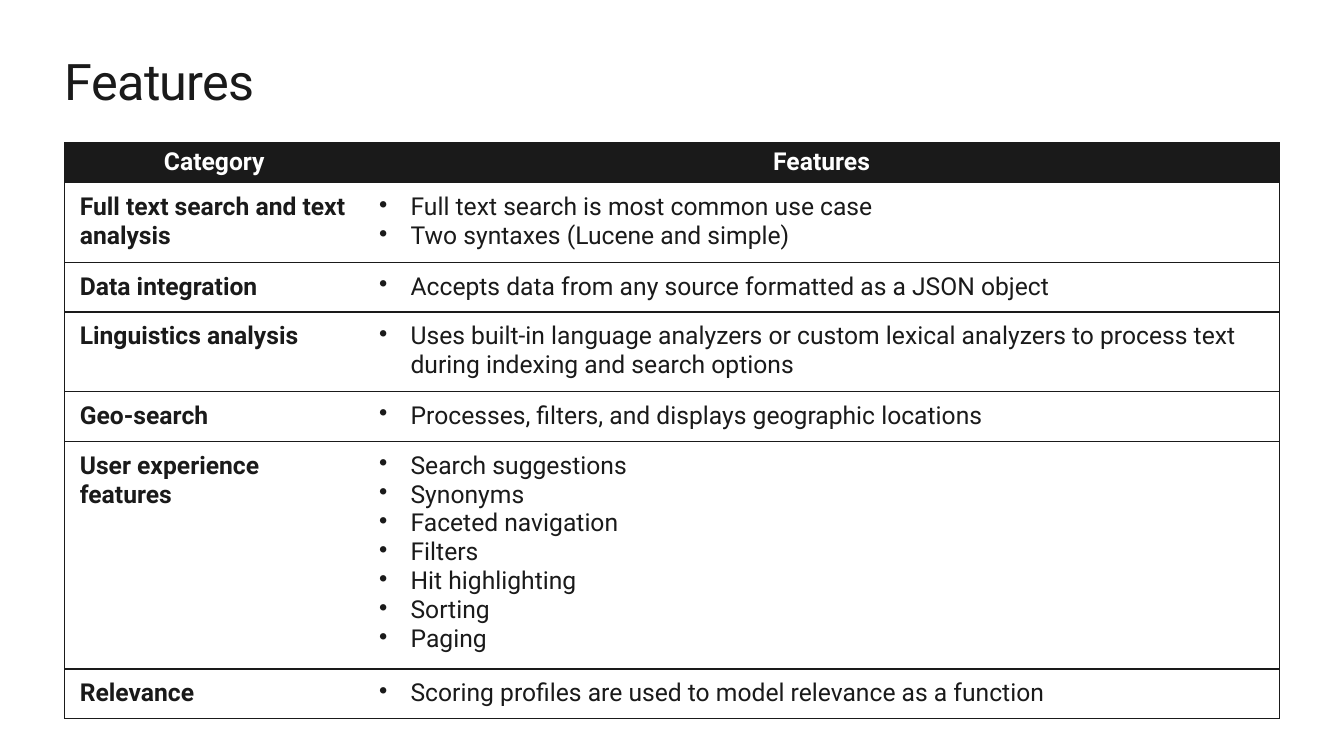
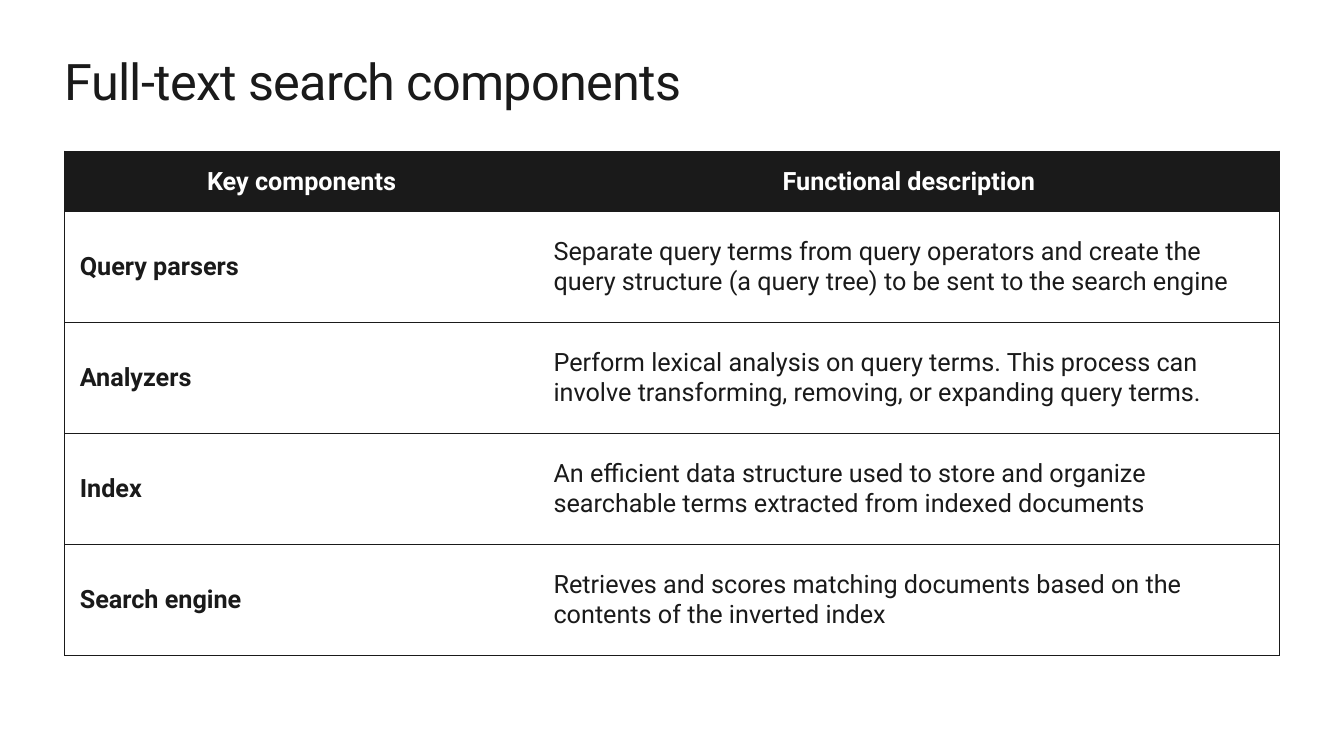
"""Two slides, each with a title and a table of search features."""
from lxml import etree
from pptx import Presentation
from pptx import util as u
from pptx.dml import color
from pptx.enum import text
from pptx.oxml import ns

FONT = "Roboto"
INK = "1A1A1A"
PAPER = "FFFFFF"
LEFT, WIDE = 46.2, 867.6
BULLET = 22.5

FEATURES = [
    ("Full text search and text analysis",
     ["Full text search is most common use case",
      "Two syntaxes (Lucene and simple)"]),
    ("Data integration",
     ["Accepts data from any source formatted as a JSON object"]),
    ("Linguistics analysis",
     ["Uses built-in language analyzers or custom lexical analyzers "
      "to process text during indexing and search options"]),
    ("Geo-search",
     ["Processes, filters, and displays geographic locations"]),
    ("User experience features",
     ["Search suggestions", "Synonyms", "Faceted navigation", "Filters",
      "Hit highlighting", "Sorting", "Paging"]),
    ("Relevance",
     ["Scoring profiles are used to model relevance as a function"]),
]

PARTS = [
    ("Query parsers",
     ["Separate query terms from query operators and create the query "
      "structure (a query tree) to be sent to the search engine"]),
    ("Analyzers",
     ["Perform lexical analysis on query terms. This process can involve "
      "transforming, removing, or expanding query terms."]),
    ("Index",
     ["An efficient data structure used to store and organize searchable "
      "terms extracted from indexed documents"]),
    ("Search engine",
     ["Retrieves and scores matching documents based on the contents of "
      "the inverted index"]),
]


def rgb(code):
    """Turn a hex string into a colour."""
    return color.RGBColor.from_string(code)


def add_run(para, words, size, tint, bold=False):
    """Add one run of styled text to a paragraph."""
    run = para.add_run()
    run.text = words
    run.font.name = FONT
    run.font.size = u.Pt(size)
    run.font.bold = bold
    run.font.color.rgb = rgb(tint)
    return run


def add_dot(para):
    """Give a paragraph a hanging round bullet."""
    prop = para._p.get_or_add_pPr()
    prop.set("marL", str(u.Pt(BULLET)))
    prop.set("indent", str(-u.Pt(BULLET)))
    etree.SubElement(prop, ns.qn("a:buChar")).set("char", "•")


def add_edges(cell, first, last):
    """Rule a cell above and below, and at the outer sides of the table."""
    prop = cell._tc.get_or_add_tcPr()
    sides = [("L", first), ("R", last), ("T", True), ("B", True)]
    for spot, (side, drawn) in enumerate(sides):
        line = etree.Element(ns.qn("a:ln" + side), w=str(u.Pt(1)))
        if drawn:
            fill = etree.SubElement(line, ns.qn("a:solidFill"))
            etree.SubElement(fill, ns.qn("a:srgbClr")).set("val", INK)
        else:
            etree.SubElement(line, ns.qn("a:noFill"))
        prop.insert(spot, line)


def fill_cell(cell, lines, size, pad, anchor, head, bold, dots):
    """Write the lines of one cell and set its fill and margins."""
    cell.fill.solid()
    cell.fill.fore_color.rgb = rgb(INK if head else PAPER)
    cell.vertical_anchor = anchor
    cell.margin_left = cell.margin_right = u.Pt(pad[0])
    cell.margin_top = cell.margin_bottom = u.Pt(pad[1])
    frame = cell.text_frame
    for spot, words in enumerate(lines):
        para = frame.add_paragraph() if spot else frame.paragraphs[0]
        if head:
            para.alignment = text.PP_ALIGN.CENTER
        if dots:
            add_dot(para)
        add_run(para, words, size, PAPER if head else INK, bold)


def add_title(slide, words, box):
    """Place the slide title in its box."""
    frame = slide.shapes.add_textbox(*map(u.Pt, box)).text_frame
    frame.word_wrap = True
    frame.margin_left = frame.margin_right = 0
    frame.margin_top = frame.margin_bottom = 0
    run = add_run(frame.paragraphs[0], words, 36, INK)
    run._r.get_or_add_rPr().set("spc", "-50")


def add_grid(slide, box, split, highs, heads, rows, size, pads, anchor, dots):
    """Place a two-column table in its box, with a dark head row."""
    left, top, wide = box
    shape = slide.shapes.add_table(
        len(highs), 2, *map(u.Pt, (left, top, wide, sum(highs))))
    grid = shape.table
    grid.horz_banding = False
    for col, width in zip(grid.columns, (split, wide - split)):
        col.width = u.Pt(width)
    for row, high in zip(grid.rows, highs):
        row.height = u.Pt(high)
    full = [(heads[0], [heads[1]])] + rows
    for y, (name, lines) in enumerate(full):
        head = y == 0
        for x, words in enumerate(([name], lines)):
            cell = grid.cell(y, x)
            fill_cell(cell, words, size, pads[0 if head else 1], anchor,
                      head, head or x == 0, dots and x == 1 and not head)
            add_edges(cell, x == 0, x == 1)


def add_page(deck, title, top, **grid):
    """Add one slide with a title and a table below it."""
    slide = deck.slides.add_slide(deck.slide_layouts[6])
    add_title(slide, title, (LEFT, 36, WIDE, 44))
    add_grid(slide, (LEFT, top, WIDE), **grid)


def main():
    """Build both slides and save them."""
    deck = Presentation()
    deck.slide_width, deck.slide_height = u.Pt(960), u.Pt(540)
    add_page(deck, "Features", 102.2, split=213.8,
             highs=[28, 56.8, 35.4, 56.8, 35.4, 162.7, 35.4],
             heads=("Category", "Features"), rows=FEATURES, size=17.6,
             pads=((3.6, 3.6), (10.8, 7.2)),
             anchor=text.MSO_ANCHOR.TOP, dots=True)
    add_page(deck, "Full-text search components", 108, split=338.4,
             highs=[43] + [79.2] * len(PARTS),
             heads=("Key components", "Functional description"),
             rows=PARTS, size=18, pads=((10.8, 10.8),) * 2,
             anchor=text.MSO_ANCHOR.MIDDLE, dots=False)
    deck.save("out.pptx")


if __name__ == "__main__":
    main()
